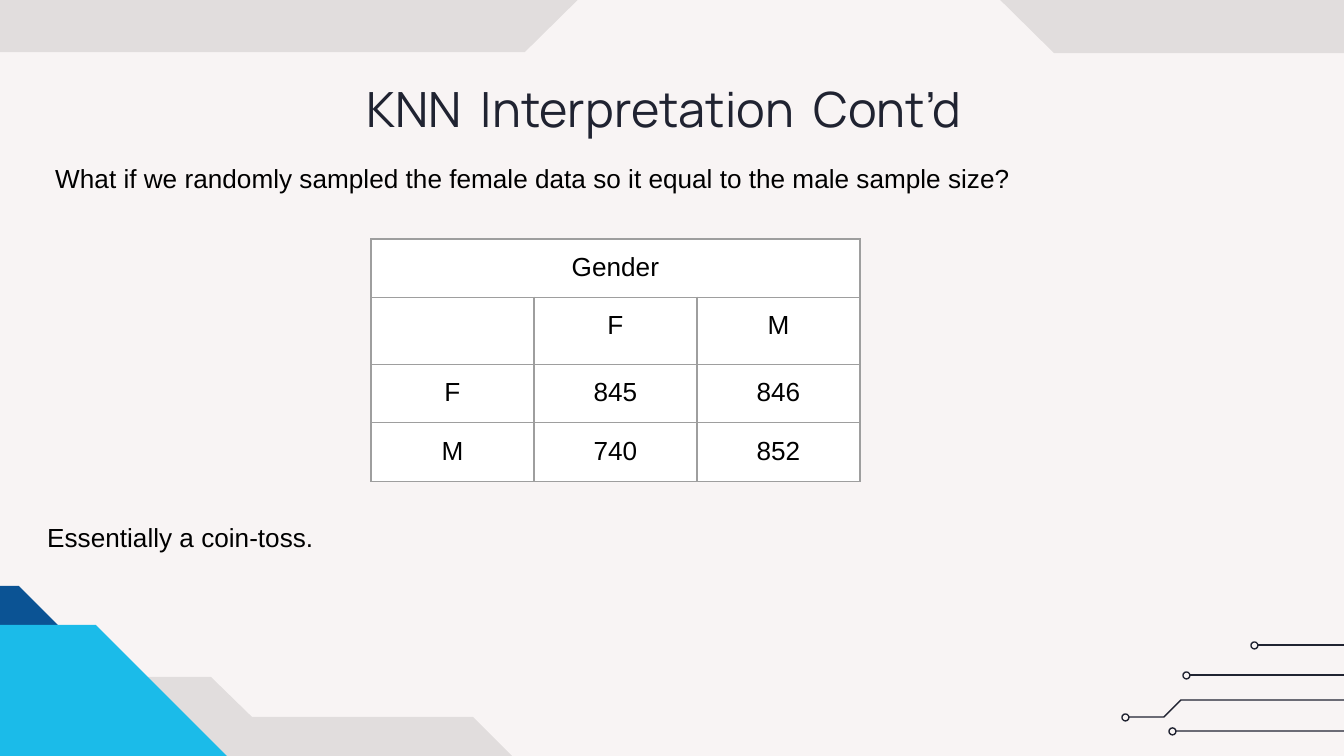
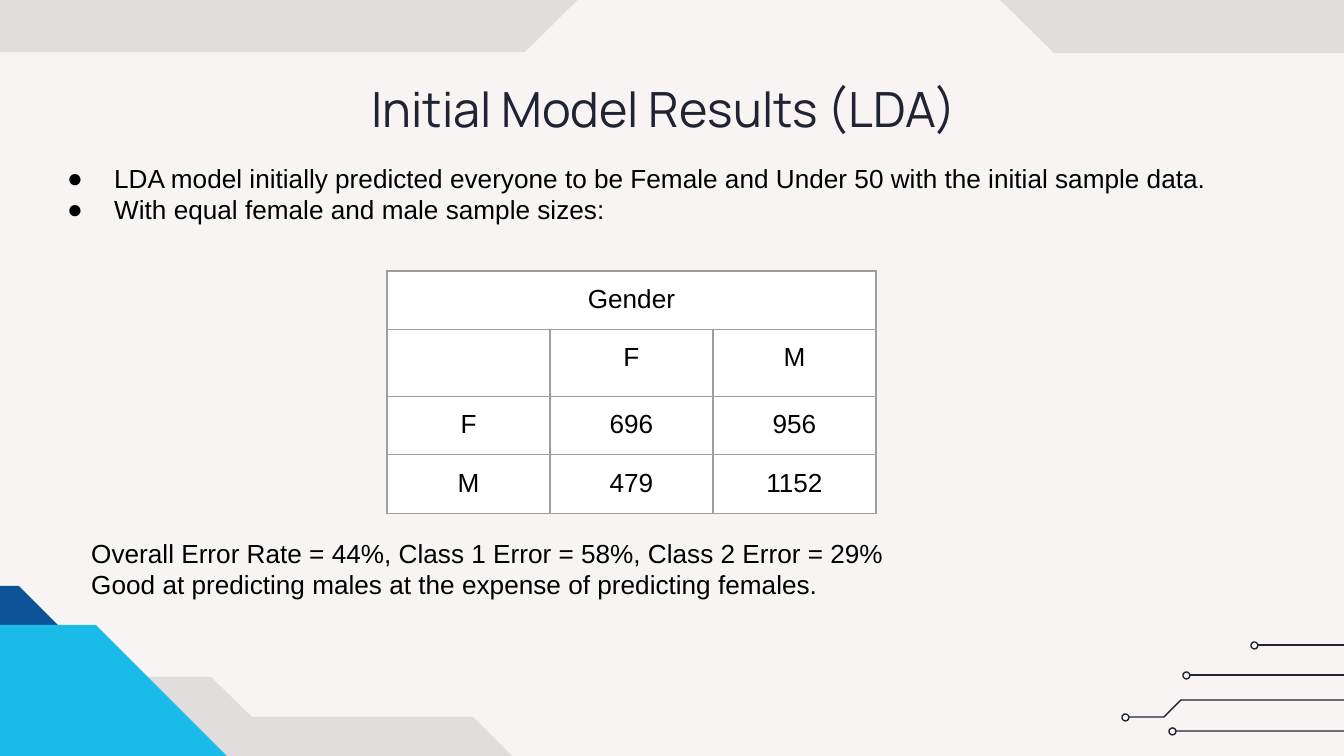
"""Build two slides on gender classification results with KNN and LDA."""
import lxml.etree
import pptx
import pptx.dml.color
import pptx.enum.shapes
import pptx.enum.text
import pptx.oxml.ns
import pptx.util

SCALE = 914400 / 134.4
BACKDROP, BLACK, WHITE = "F8F4F4", "000000", "FFFFFF"
NAVY, CYAN, INK, RULE = "0B5394", "1BBBE9", "202331", "9E9E9E"
LEFT, CENTER = pptx.enum.text.PP_ALIGN.LEFT, pptx.enum.text.PP_ALIGN.CENTER
TOP, MIDDLE = pptx.enum.text.MSO_ANCHOR.TOP, pptx.enum.text.MSO_ANCHOR.MIDDLE
qn = pptx.oxml.ns.qn

CORNERS = [
    (BLACK, 9, [(-103, 677), (-103, 1121), (648, 1121), (648, 796), (552, 796),
                (473, 717), (252, 717), (211, 677)]),
    (BLACK, 9, [(1054, 53), (902, -97), (676, -97), (525, 52), (-30, 52),
                (-30, -224), (1345, -224), (1345, 53)]),
    (NAVY, 100, [(-150, 586), (-112, 625), (58, 625), (19, 586)]),
    (CYAN, 100, [(96, 625), (246, 775), (290, 775), (290, 851), (-122, 851), (-122, 625)]),
]
TRACES = [
    [(1621, 743), (1375, 743), (1363, 731), (1176, 731)],
    [(1414, 675), (1190, 675)],
    [(1351, 700), (1181, 700), (1164, 717), (1129, 717)],
    [(1695, 645), (1258, 645)],
]
NODE = 7
COLUMN = 163
ROWS = [58, 67, 58, 58]
SLIDES = [
    {
        "title": "KNN  Interpretation  Cont’d",
        "notes": [
            ((42, 149, 1277, 90), False,
             ["What if we randomly sampled the female data so it equal to the male sample size?"]),
            ((34, 508, 1277, 90), False, ["Essentially a coin-toss."]),
        ],
        "corner": (371, 239),
        "counts": [("F", "845", "846"), ("M", "740", "852")],
    },
    {
        "title": "Initial Model Results (LDA)",
        "notes": [
            ((34, 149, 1277, 90), True,
             ["LDA model initially predicted everyone to be Female and Under 50 "
              "with the initial sample data.",
              "With equal female and male sample sizes:"]),
            ((78, 524, 1171, 153), False,
             ["Overall Error Rate = 44%, Class 1 Error = 58%, Class 2 Error = 29%",
              "Good at predicting males at the expense of predicting females."]),
        ],
        "corner": (387, 271),
        "counts": [("F", "696", "956"), ("M", "479", "1152")],
    },
]


def px(*lengths):
    return [pptx.util.Emu(round(length * SCALE)) for length in lengths]


def paint(fill, colour):
    fill.solid()
    fill.fore_color.rgb = pptx.dml.color.RGBColor.from_string(colour)


deck = pptx.Presentation()
deck.slide_width, deck.slide_height = px(1344, 756)

for content in SLIDES:
    page = deck.slides.add_slide(deck.slide_layouts[6])
    paint(page.background.fill, BACKDROP)

    for colour, opacity, points in CORNERS:
        builder = page.shapes.build_freeform(*points[0], scale=SCALE)
        builder.add_line_segments(points[1:], close=True)
        corner = builder.convert_to_shape()
        corner.shadow.inherit = False
        paint(corner.fill, colour)
        corner.line.fill.background()
        if opacity < 100:
            tint = corner.fill._xPr.find(".//" + qn("a:srgbClr"))
            lxml.etree.SubElement(tint, qn("a:alpha"), val=str(opacity * 1000))

    for points in TRACES:
        if len(points) == 2:
            trace = page.shapes.add_connector(
                pptx.enum.shapes.MSO_CONNECTOR.STRAIGHT, *px(*points[0], *points[1]))
        else:
            builder = page.shapes.build_freeform(*points[0], scale=SCALE)
            builder.add_line_segments(points[1:], close=False)
            trace = builder.convert_to_shape()
            trace.fill.background()
        end_x, end_y = points[-1]
        node = page.shapes.add_shape(
            pptx.enum.shapes.MSO_SHAPE.OVAL, *px(end_x - NODE, end_y - 3, NODE, NODE))
        node.fill.background()
        for part in (trace, node):
            paint(part.line.fill, INK)
            part.line.width = pptx.util.Pt(0.75)
            lxml.etree.SubElement(part._element.spPr, qn("a:effectLst"))

    texts = []
    boxes = [((98, 66, 1133, 85), False, [content["title"]], MIDDLE, 26, "Manrope", INK, CENTER)]
    for place, bulleted, lines in content["notes"]:
        boxes.append((place, bulleted, lines, TOP, 14, "Arial", BLACK, LEFT))
    for place, bulleted, lines, anchor, *style in boxes:
        frame = page.shapes.add_textbox(*px(*place)).text_frame
        frame.word_wrap = True
        frame.vertical_anchor = anchor
        texts.append((frame, bulleted, lines, *style))

    grid = page.shapes.add_table(
        4, 3, *px(*content["corner"], 3 * COLUMN, sum(ROWS))).table
    grid.first_row = grid.horz_banding = False
    for column in grid.columns:
        column.width = px(COLUMN)[0]
    for row, height in zip(grid.rows, ROWS):
        row.height = px(height)[0]
    grid.cell(0, 0).merge(grid.cell(0, 2))
    values = [("Gender", "", ""), ("", "F", "M"), *content["counts"]]
    for row, words in zip(grid.rows, values):
        for cell, word in zip(row.cells, words):
            cell_format = cell._tc.get_or_add_tcPr()
            for side in ("a:lnL", "a:lnR", "a:lnT", "a:lnB"):
                border = lxml.etree.SubElement(cell_format, qn(side), w="9525")
                solid = lxml.etree.SubElement(border, qn("a:solidFill"))
                lxml.etree.SubElement(solid, qn("a:srgbClr"), val=RULE)
            paint(cell.fill, WHITE)
            if word:
                texts.append((cell.text_frame, False, [word], 14, "Arial", BLACK, CENTER))
            cell.margin_left = cell.margin_right = pptx.util.Inches(0.1)
            cell.margin_top = cell.margin_bottom = pptx.util.Inches(0.1)

    for frame, bulleted, lines, size, font, colour, align in texts:
        frame.margin_left = frame.margin_right = pptx.util.Inches(0.1)
        frame.margin_top = frame.margin_bottom = pptx.util.Inches(0.1)
        for index, line in enumerate(lines):
            para = frame.add_paragraph() if index else frame.paragraphs[0]
            para.alignment = align
            if bulleted:
                layout = para._p.get_or_add_pPr()
                layout.set("marL", str(px(67)[0]))
                layout.set("indent", str(px(-47)[0]))
                tint = lxml.etree.SubElement(layout, qn("a:buClr"))
                lxml.etree.SubElement(tint, qn("a:srgbClr"), val=colour)
                lxml.etree.SubElement(layout, qn("a:buFont"), typeface=font)
                lxml.etree.SubElement(layout, qn("a:buChar"), char="●")
            span = para.add_run()
            span.text = line
            span.font.size = pptx.util.Pt(size)
            span.font.name = font
            paint(span.font.fill, colour)

deck.save("out.pptx")
